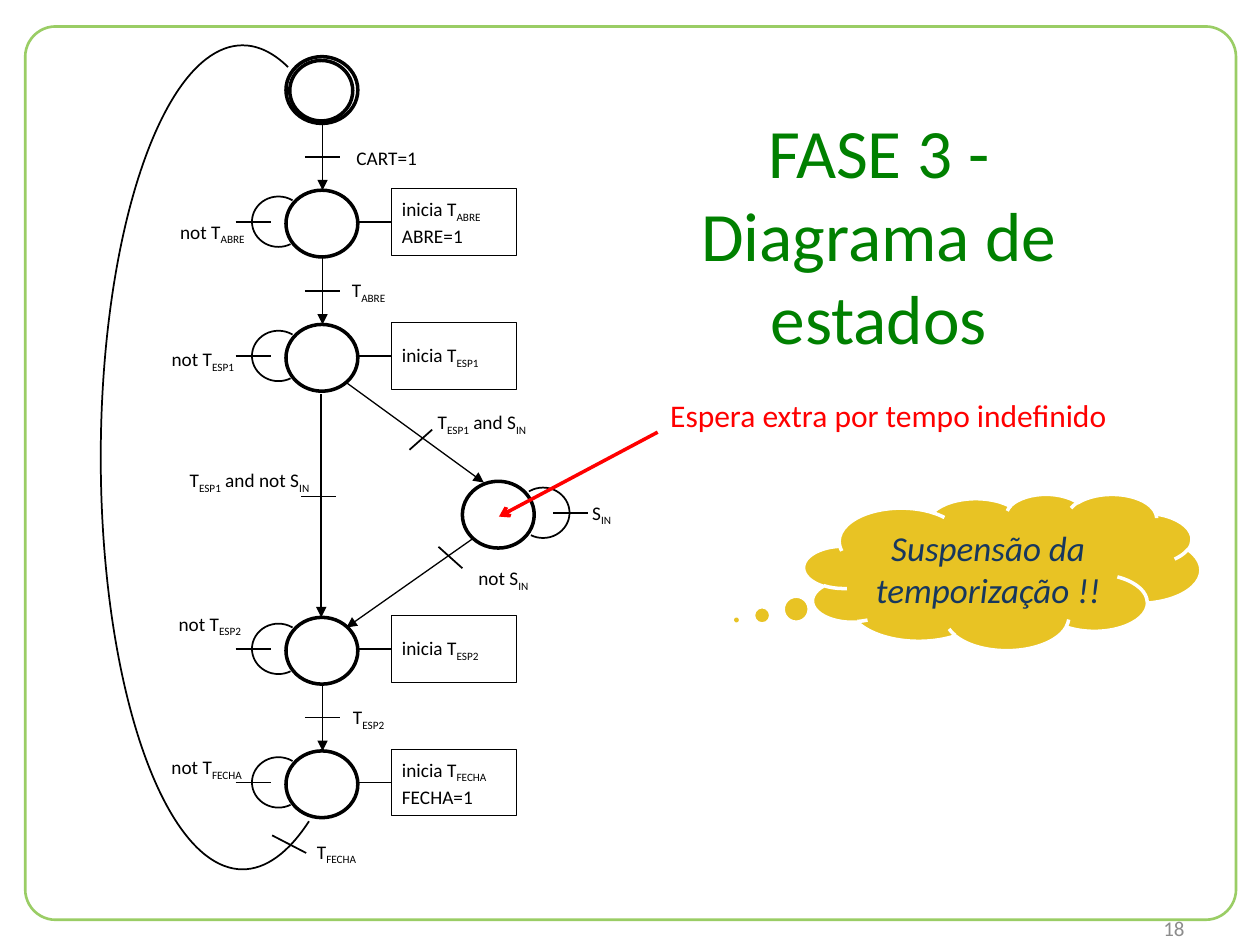
from lxml import etree
from pptx import Presentation
from pptx.dml.color import RGBColor
from pptx.enum.shapes import MSO_CONNECTOR as Connector, MSO_SHAPE as Shape
from pptx.enum.text import MSO_ANCHOR as Anchor, PP_ALIGN as Align
from pptx.oxml.ns import qn
from pptx.util import Inches, Pt

COLORS = {"frame": "9ACD65", "title": "008000", "number": "8C8C8C", "cloud": "E8C324",
          "cloud_text": "17375E", "white": "FFFFFF", "black": "000000", "red": "FF0000"}
FONT = "Calibri"
SLIDE_WIDTH, SLIDE_HEIGHT = Inches(10), Inches(7.5)
CELL = SLIDE_WIDTH / 100  # square grid: 100 columns by 75 rows

# Sizes shared by the diagram parts, in cells
STATE_W, STATE_H = 5.7, 5.3
LOOP_W, LOOP_H = 4.2, 4
TICK = 2.8
LABEL_H = 5.3
LOOP_ARC = (141.93, 71.04)
RETURN_ARC = (158.01, 60.21)


def grid(*cells):
    return [round(cell * CELL) for cell in cells]


def color(name):
    return RGBColor.from_string(COLORS[name])


def add_figure(slide, kind, box, line, width, fill=None, adjustments=(), flip=False):
    shape = slide.shapes.add_shape(kind, *grid(*box))
    shape.shadow.inherit = False
    for index, value in enumerate(adjustments):
        shape.adjustments[index] = value
    if fill:
        shape.fill.solid()
        shape.fill.fore_color.rgb = color(fill)
    else:
        shape.fill.background()
    shape.line.color.rgb = color(line)
    shape.line.width = Pt(width)
    if flip:
        shape._element.spPr.find(qn("a:xfrm")).set("flipH", "1")
    return shape


def add_line(slide, start, end, width=1, head=None, ink="black"):
    line = slide.shapes.add_connector(Connector.STRAIGHT, *grid(*start, *end))
    line.line.color.rgb = color(ink)
    line.line.width = Pt(width)
    properties = line._element.spPr
    if head:
        etree.SubElement(properties.find(qn("a:ln")), qn("a:tailEnd"), type=head)
    etree.SubElement(properties, qn("a:effectLst"))
    return line


def write(shape, lines, size, ink, align=Align.CENTER, italic=False,
          spacing=None, insets=None, anchor=Anchor.MIDDLE):
    """Write lines; within a line, underscores switch subscript on and off."""
    frame = shape.text_frame
    frame.word_wrap = True
    frame.vertical_anchor = anchor
    if insets:
        (frame.margin_left, frame.margin_top,
         frame.margin_right, frame.margin_bottom) = grid(*insets)
    for number, text in enumerate(lines):
        paragraph = frame.paragraphs[0] if number == 0 else frame.add_paragraph()
        paragraph.alignment = align
        if spacing:
            paragraph.line_spacing = spacing
        for part, words in enumerate(text.split("_")):
            run = paragraph.add_run()
            run.text = words
            run.font.name = FONT
            run.font.size = Pt(size)
            run.font.italic = italic
            run.font.color.rgb = color(ink)
            if part % 2:
                run.font._element.set("baseline", "-25000")


def add_text(slide, box, text, size, ink, **options):
    write(slide.shapes.add_textbox(*grid(*box)), [text], size, ink, **options)


def add_label(slide, left, top, width, text):
    add_text(slide, (left, top, width, LABEL_H), text, 11, "black",
             spacing=1.05, insets=(0, 0, 0, 0))


def add_state(slide, left, top):
    add_figure(slide, Shape.OVAL, (left, top, STATE_W, STATE_H), "black", 2, "white")


def add_loop(slide, left, middle, tick_left, flip):
    """Arc from a state to itself, with its transition tick."""
    add_figure(slide, Shape.ARC, (left, middle - LOOP_H / 2, LOOP_W, LOOP_H),
               "black", 1, adjustments=LOOP_ARC, flip=flip)
    add_line(slide, (tick_left, middle), (tick_left + TICK, middle))


def add_action_state(slide, left, top, actions, loop_label, entry_width=0.75):
    """State with its entry arrow, self loop and action box."""
    label, label_left, label_top, label_width = loop_label
    add_state(slide, left, top)
    add_loop(slide, left - 2.7, top + 2.5, left - 4, flip=True)
    add_label(slide, label_left, label_top, label_width, label)

    # Action box, joined to the state
    box_left, box_top = left + 8.4, top - 0.15
    middle = box_top + STATE_H / 2
    box = add_figure(slide, Shape.RECTANGLE, (box_left, box_top, 9.9, STATE_H),
                     "black", 0.5, "white")
    write(box, actions, 11, "black", Align.LEFT, spacing=1.05, insets=(0.8, 0, 0, 0))
    link = add_line(slide, (left + STATE_W, middle), (box_left, middle))
    link.end_connect(box, 1)


def add_step(slide, left, bottom, text, label_width=5.5, width=0.75):
    """Short downward transition that ends on the state below."""
    top = bottom - LABEL_H
    middle = bottom - LABEL_H / 2
    add_line(slide, (left, top), (left, bottom), width, "triangle")
    add_line(slide, (left - TICK / 2, middle), (left + TICK / 2, middle))
    add_label(slide, left + 0.9, top, label_width, text)


def add_diagram(slide, left, top):
    """State diagram; left and top are those of the initial state."""
    # Initial state, double ring
    add_state(slide, left, top)
    add_figure(slide, Shape.OVAL, (left + 0.3, top + 0.3, 5, 4.8), "black", 2)

    # States with actions: row, actions, loop label, entry label, its width, arrow width
    rows = [
        (15.1, ["inicia T_ABRE", "ABRE=1"], ("not T_ABRE", 13.7, 15.8, 6.3), "CART=1", 8.4, 0.75),
        (25.75, ["inicia T_ESP1"], ("not T_ESP1", 11.8, 25.9, 8.6), "T_ABRE", 5.5, 0.75),
        (49, ["inicia T_ESP2"], ("not T_ESP2", 12.8, 46.9, 7.7), None, 0, 0),
        (59.6, ["inicia T_FECHA", "FECHA=1"], ("not T_FECHA", 12.1, 58.3, 8.6), "T_ESP2", 5.5, 1),
    ]
    for row, actions, loop_label, entry, label_width, width in rows:
        add_action_state(slide, left, row, actions, loop_label)
        if entry:
            add_step(slide, left + 2.9, row, entry, label_width, width)

    # Extra waiting state
    add_state(slide, left + 14, 38.2)
    add_loop(slide, left + 18.3, 40.7, left + 21.2, flip=False)
    add_label(slide, 43.9, 38.1, 7.7, "S_IN")

    # Long transitions: arrow start and end, tick start and end, width
    transitions = [
        ((25.5, 31.3), (25.5, 49), (23.9, 39.4), (26.7, 39.4), 1),
        ((27.4, 30.3), (38.4, 38.3), (32.5, 35.7), (34.3, 34.1), 0.75),
        ((37.6, 42.7), (27.5, 49.8), (34.8, 43.4), (36.7, 45.1), 0.75),
    ]
    for start, end, tick_start, tick_end, width in transitions:
        add_line(slide, start, end, width, "triangle")
        add_line(slide, tick_start, tick_end)
    add_label(slide, 13.6, 35.5, 12.4, "T_ESP1_ and not S_IN")
    add_label(slide, 33.6, 30.9, 9.3, "T_ESP1_ and S_IN")
    add_label(slide, 36.1, 43.3, 7.7, "not S_IN")

    # Return to the initial state
    add_figure(slide, Shape.ARC, (8, 3.6, 22.5, 65.4), "black", 1,
               adjustments=RETURN_ARC, flip=True)
    add_line(slide, (21.6, 66.3), (24.3, 67.7))
    add_label(slide, 22.4, 65, 8.6, "T_FECHA")


def add_frame(slide, box):
    add_figure(slide, Shape.ROUNDED_RECTANGLE, box, "frame", 1.5, adjustments=[0.034])
    add_text(slide, (71.7, 72.9, 23.3, 1.6), "18", 12, "number", align=Align.RIGHT)


def add_comments(slide, left, top):
    """Title, red remark with its arrow, and thought cloud."""
    add_text(slide, (left, top, 36.3, 8.5), "FASE 3 - Diagrama de estados", 39.6, "title")
    cloud = add_figure(slide, Shape.CLOUD_CALLOUT, (left + 12.2, top + 24.9, 31.5, 12.4),
                       "white", 2, "cloud", (-0.67, 0.307))
    write(cloud, ["Suspensão da temporização !!"], 20, "cloud_text", italic=True)
    add_line(slide, (left + 0.6, top + 20), (39.6, 41), 2, "arrow", "red")
    add_text(slide, (left + 0.6, top + 16.6, 37.1, 4), "Espera extra por tempo indefinido",
             18, "red", align=Align.LEFT, anchor=Anchor.TOP)


def main():
    presentation = Presentation()
    presentation.slide_width, presentation.slide_height = SLIDE_WIDTH, SLIDE_HEIGHT
    slide = presentation.slides.add_slide(presentation.slide_layouts[6])
    add_frame(slide, (2, 2.1, 96.1, 70.9))
    add_diagram(slide, 22.7, 4.5)
    add_comments(slide, 51.6, 14.3)
    presentation.save("out.pptx")


if __name__ == "__main__":
    main()
